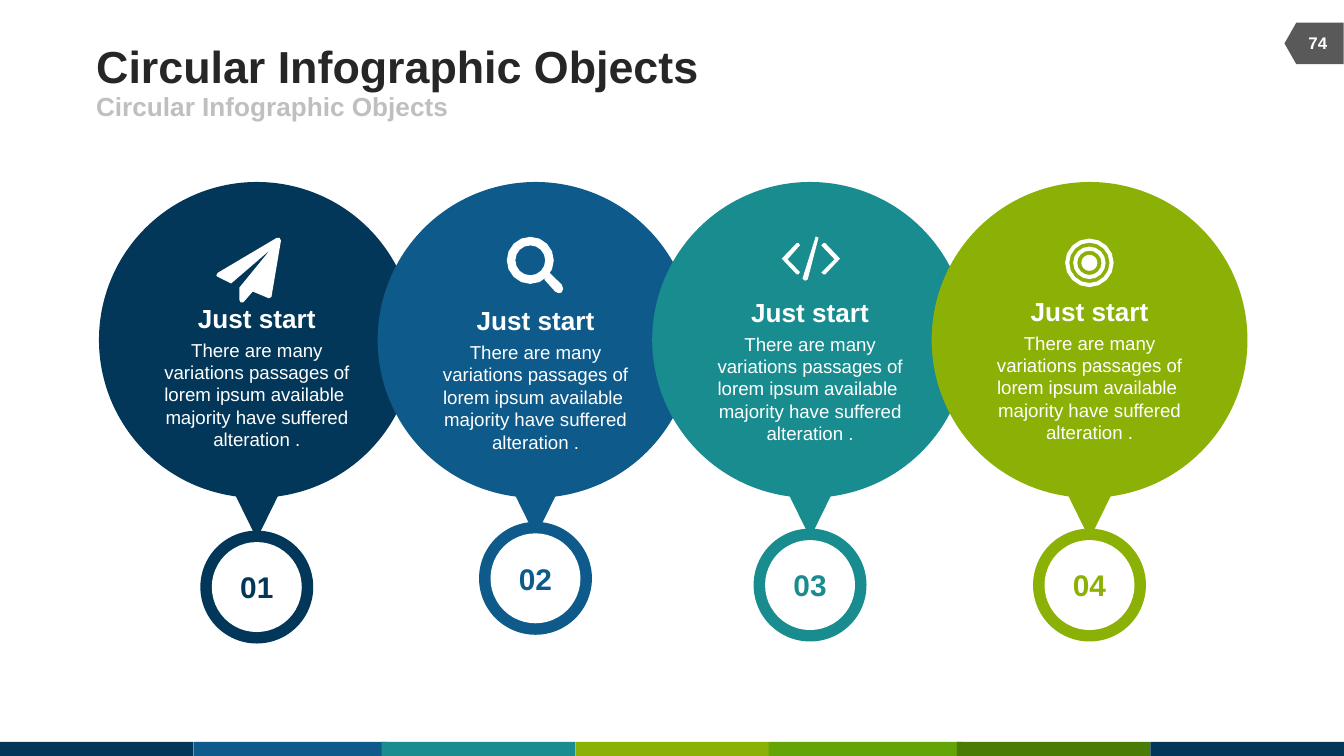
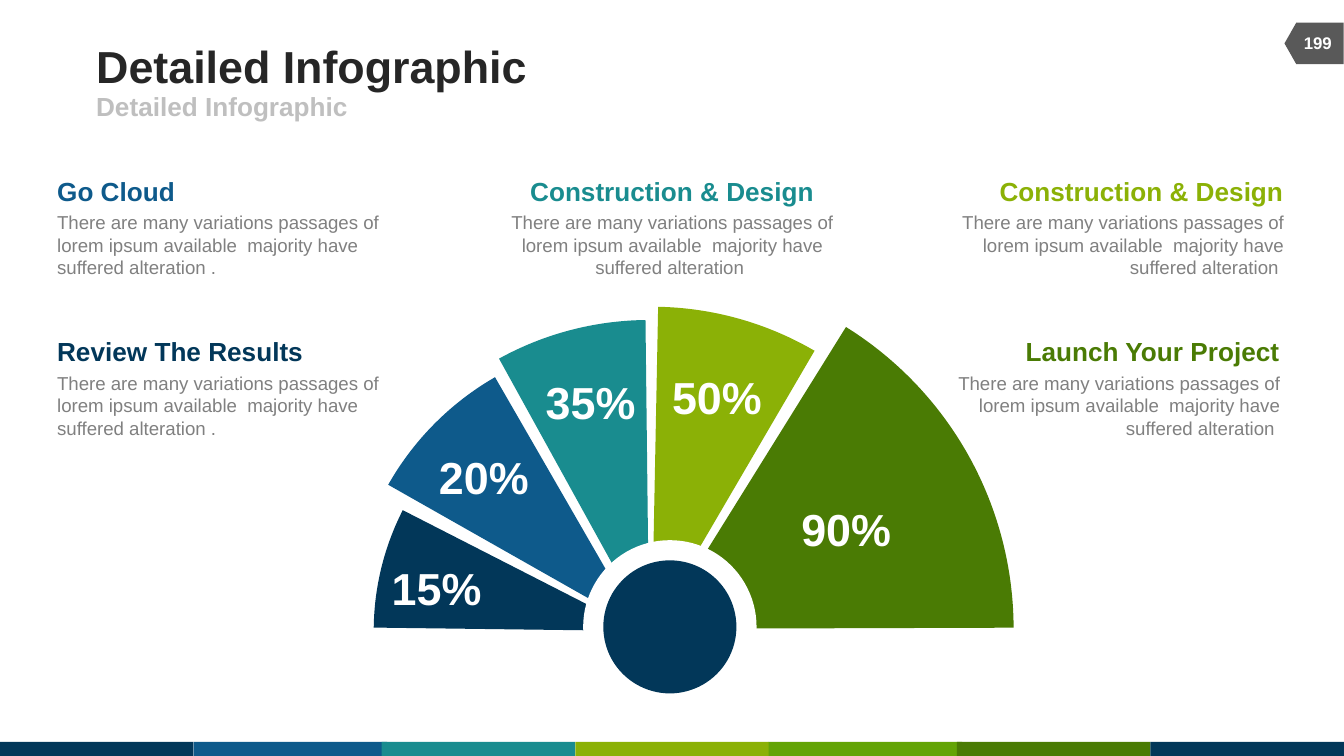
import math
import pptx
import pptx.util
import pptx.dml.color
import pptx.enum.shapes
import pptx.enum.text

Pt = pptx.util.Pt
RGB = pptx.dml.color.RGBColor
MSO = pptx.enum.shapes.MSO_SHAPE
ALIGN = pptx.enum.text.PP_ALIGN
ANCHOR = pptx.enum.text.MSO_ANCHOR
FONT = "Arial"
COLORS = {
    "navy": "023759", "blue": "0E5A8B", "teal": "198C8F", "lime": "8BB106",
    "leaf": "63A406", "green": "4A7B04", "badge": "595959", "white": "FFFFFF",
    "title": "262626", "subtitle": "BFBFBF", "body": "808080",
}
LOREM = "There are many variations passages of lorem ipsum available  majority have suffered alteration "


def add_solid(s, kind, x, y, w, h, color):
    sp = s.shapes.add_shape(kind, Pt(x), Pt(y), Pt(w), Pt(h))
    sp.shadow.inherit = False
    sp.fill.solid()
    sp.fill.fore_color.rgb = RGB.from_string(COLORS[color])
    sp.line.fill.background()
    return sp


def write(sp, text, size, color, bold=True, align=ALIGN.LEFT, anchor=ANCHOR.MIDDLE, wrap=True):
    tf = sp.text_frame
    tf.margin_left = tf.margin_top = tf.margin_right = tf.margin_bottom = 0
    tf.auto_size = pptx.enum.text.MSO_AUTO_SIZE.NONE
    tf.word_wrap = wrap
    tf.vertical_anchor = anchor
    p = tf.paragraphs[0]
    p.alignment = align
    r = p.add_run()
    r.text = text
    r.font.name = FONT
    r.font.size = Pt(size)
    r.font.bold = bold
    r.font.color.rgb = RGB.from_string(COLORS[color])


prs = pptx.Presentation()
prs.slide_width, prs.slide_height = Pt(720), Pt(405)

bands = [("navy", 0), ("blue", 103.7), ("teal", 204.5), ("lime", 308.2),
         ("leaf", 411.8), ("green", 512.6), ("navy", 616.3)]
for title, number in [("Circular Infographic Objects", "74"), ("Detailed Infographic", "199")]:
    s = prs.slides.add_slide(prs.slide_layouts[5])
    for color, x in bands:
        add_solid(s, MSO.RECTANGLE, x, 397.5, 103.7, 7.5, color)
    sp = add_solid(s, MSO.FLOWCHART_OFFPAGE_CONNECTOR, 692.8, 7.4, 22.3, 31.7, "badge")
    sp.rotation = 90
    sp = s.shapes.title
    sp.left, sp.top, sp.width, sp.height = Pt(51.5), Pt(20.9), Pt(444.2), Pt(28.1)
    write(sp, title, 24, "title")
    sp = s.shapes.add_textbox(Pt(51.5), Pt(49), Pt(324), Pt(15.8))
    write(sp, title, 14, "subtitle")
    sp = s.shapes.add_textbox(Pt(692), Pt(12.2), Pt(28), Pt(21.6))
    write(sp, number, 9, "white", align=ALIGN.CENTER)

circles, detail = prs.slides

bubbles = [
    ("01", "navy", 137.6, 244.8, 161.9, 284.3),
    ("02", "blue", 286.9, 243.6, 163.1, 279.6),
    ("03", "teal", 434, 244.3, 158.7, 283.2),
    ("04", "lime", 583.7, 244.9, 158.2, 283.2),
]
for number, color, cx, pointer_top, heading_top, ring_top in bubbles:
    sp = add_solid(circles, MSO.ISOSCELES_TRIANGLE, cx - 21.6, pointer_top, 43.2, 43.9, color)
    sp.rotation = 180
    add_solid(circles, MSO.OVAL, cx - 84.6, 97.5, 169.2, 169.2, color)
    sp = circles.shapes.add_textbox(Pt(cx - 51.85), Pt(heading_top + 19.4), Pt(103.7), Pt(60.5))
    write(sp, LOREM + ".", 10, "white", False, ALIGN.CENTER, ANCHOR.TOP)
    sp = circles.shapes.add_textbox(Pt(cx - 31.7), Pt(heading_top), Pt(63.4), Pt(17))
    write(sp, "Just start", 14, "white", True, ALIGN.CENTER, ANCHOR.TOP, False)
    add_solid(circles, MSO.OVAL, cx - 30.25, ring_top, 60.5, 60.5, color)
    sp = add_solid(circles, MSO.OVAL, cx - 24.1, ring_top + 6.15, 48.2, 48.2, "white")
    write(sp, number, 16, color, align=ALIGN.CENTER, wrap=False)

plane = [
    [(150.5, 128.9), (145.4, 159.1), (144, 159.8), (135.4, 156.2), (130.3, 162),
     (128.9, 162), (128.2, 160.6), (128.2, 154.1), (144.7, 133.9), (123.8, 151.9),
     (116.6, 148.3), (115.9, 147.6), (116.6, 146.2), (148.3, 127.4), (149.8, 127.4)],
]
code = [
    [(427.7, 147), (426.8, 147), (418.8, 138.6), (426.8, 130.3), (427.9, 130.3),
     (428.6, 131.4), (421.9, 139), (428.6, 145.8)],
    [(432.7, 149.8), (431.3, 150.4), (429.9, 149.4), (437, 126.7), (438.5, 127.4)],
    [(442.1, 147), (441.2, 147), (440, 146), (447.1, 139), (440, 131.5),
     (441.2, 130.3), (442.1, 130.3), (450, 138.6)],
]
magnifier = [
    [(291.6, 149.8), (297.4, 156.2), (299, 157), (300.8, 156.8), (301.7, 154.8),
     (301, 152.6), (294.5, 146.2), (293.4, 148)],
]
target = []
for icon, cx, cy, radii in [(magnifier, 284.1, 139.5, [12.6, 8]),
                            (target, 583.6, 140.8, [13, 10.8, 8.7, 6.5, 4.3])]:
    for radius in radii:
        angles = [math.tau * i / 16 for i in range(16)]
        icon.append([(cx + radius * math.cos(a), cy + radius * math.sin(a)) for a in angles])

for icon in (plane, code, magnifier, target):
    outlines = [[(Pt(x), Pt(y)) for x, y in outline] for outline in icon]
    builder = circles.shapes.build_freeform(*outlines[0][0], scale=1.0)
    builder.add_line_segments(outlines[0][1:], close=True)
    for outline in outlines[1:]:
        builder.move_to(*outline[0])
        builder.add_line_segments(outline[1:], close=True)
    sp = builder.convert_to_shape()
    sp.shadow.inherit = False
    sp.fill.solid()
    sp.fill.fore_color.rgb = RGB.from_string(COLORS["white"])
    sp.line.fill.background()

TURN = 240
wedges = [
    ("20%", "blue", 187.9, 181.4, 308.9, 209.54, 240.03, 235.1, 241.2),
    ("35%", "teal", 181.4, 171.4, 332.6, 241.1, 269.34, 292.3, 200.9),
    ("50%", "lime", 176.4, 164.3, 345.6, 271.12, 300.29, 360, 198),
    ("90%", "green", 162.1, 146.4, 380.9, 301.9, 359.82, 429.2, 268.6),
    ("15%", "navy", 200.2, 195.8, 284.4, 180.73, 207.07, 209.8, 300.2),
]
for label, color, x, y, size, start, end, label_x, label_y in wedges:
    sp = add_solid(detail, MSO.PIE, x, y, size, size, color)
    sp.rotation = TURN
    for i, angle in enumerate((start, end)):
        sp.adjustments[i] = (angle - TURN) % 360 * 0.6

add_solid(detail, MSO.OVAL, 312.4, 289.4, 92.9, 92.9, "white")
add_solid(detail, MSO.OVAL, 323.2, 300.2, 71.3, 71.3, "navy")

for label, color, x, y, size, start, end, label_x, label_y in wedges:
    sp = detail.shapes.add_textbox(Pt(label_x), Pt(label_y), Pt(48.2), Pt(28.8))
    write(sp, label, 24, "white", align=ALIGN.CENTER, wrap=False)

BLOCK_WIDTH = 179.3
shift = {ALIGN.LEFT: 0, ALIGN.CENTER: 0.5, ALIGN.RIGHT: 1}
blocks = [
    ("Construction & Design", "lime", 508.3, 93.7, 152.6, ALIGN.RIGHT, ""),
    ("Go Cloud", "blue", 30.6, 93.7, 63.4, ALIGN.LEFT, "."),
    ("Review The Results", "navy", 30.6, 179.8, 132.5, ALIGN.LEFT, "."),
    ("Launch Your Project", "green", 506.2, 179.8, 136.8, ALIGN.RIGHT, ""),
    ("Construction & Design", "teal", 270.4, 93.7, 152.6, ALIGN.CENTER, ""),
]
for heading, color, x, y, width, align, ending in blocks:
    sp = detail.shapes.add_textbox(Pt(x), Pt(y + 19.4), Pt(BLOCK_WIDTH), Pt(36))
    write(sp, LOREM + ending, 10, "body", False, align, ANCHOR.TOP)
    heading_x = x + (BLOCK_WIDTH - width) * shift[align]
    sp = detail.shapes.add_textbox(Pt(heading_x), Pt(y), Pt(width), Pt(17))
    write(sp, heading, 14, color, True, align, ANCHOR.TOP, False)

prs.save("out.pptx")
